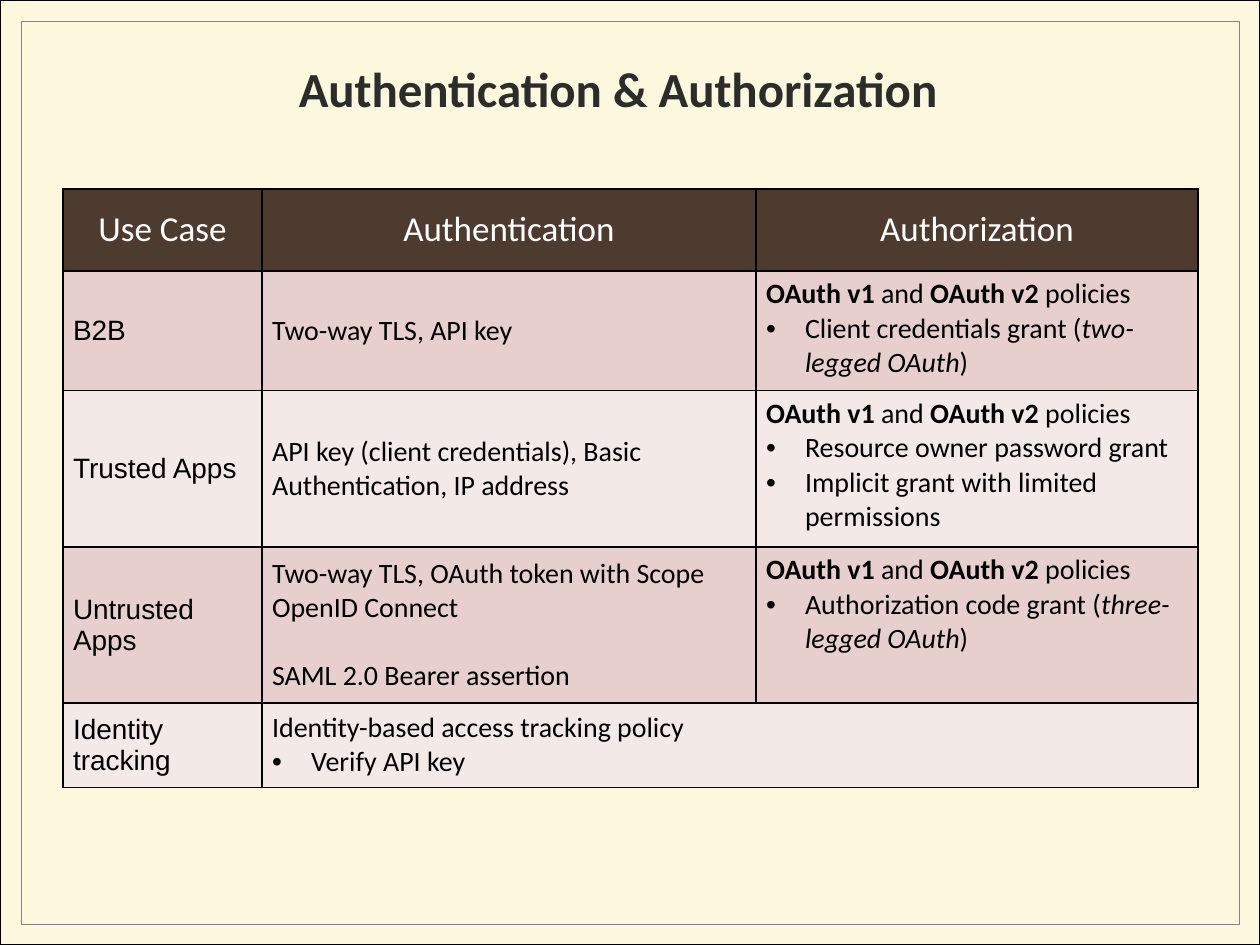
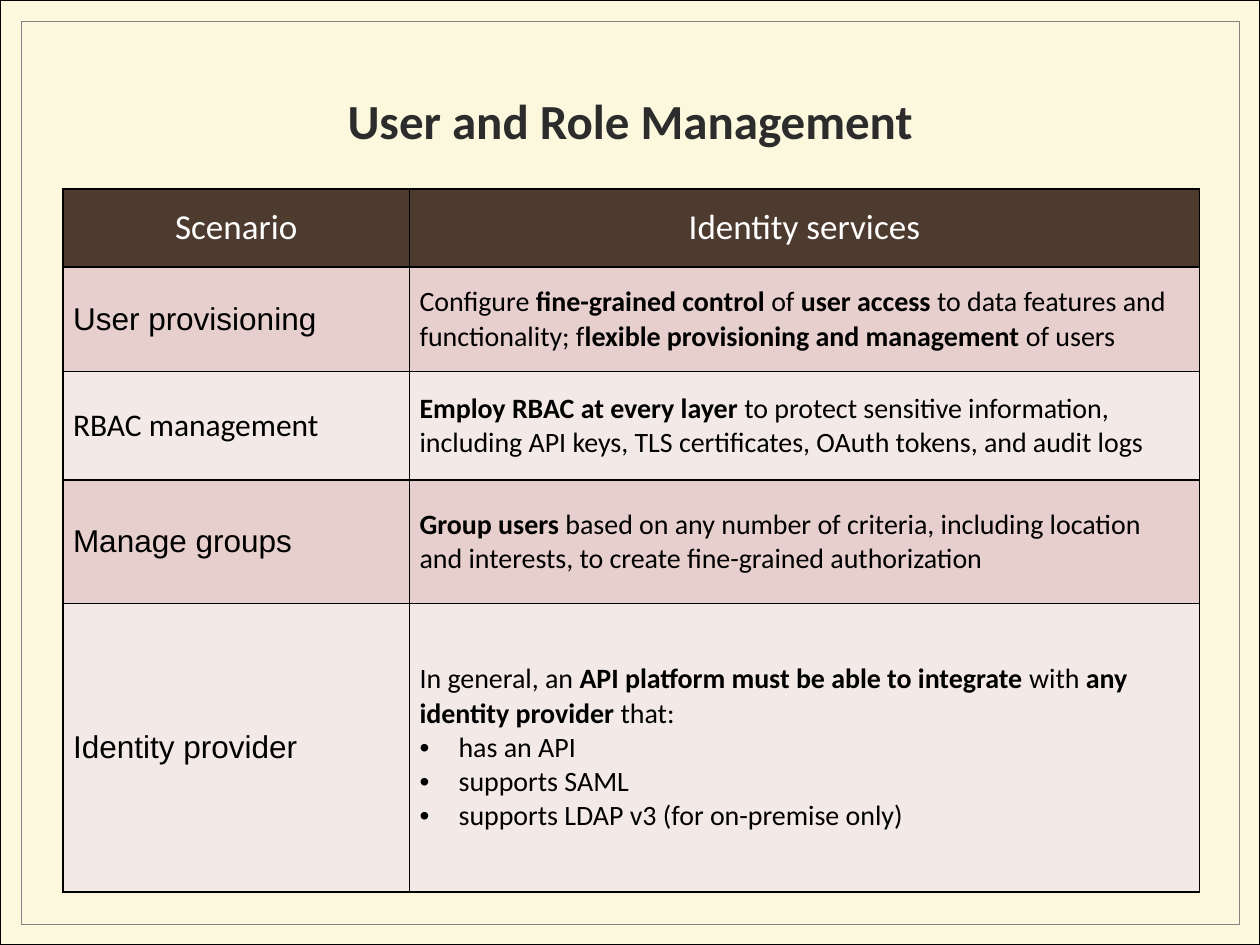
from lxml.etree import SubElement
from pptx import Presentation
from pptx.dml.color import RGBColor
from pptx.enum.shapes import MSO_SHAPE
from pptx.enum.text import MSO_ANCHOR, PP_ALIGN
from pptx.oxml.ns import qn
from pptx.util import Inches, Pt

CREAM = RGBColor(0xFC, 0xF8, 0xDE)
GRAY = RGBColor(0x84, 0x84, 0x84)
CHARCOAL = RGBColor(0x2C, 0x2C, 0x2C)
BROWN = RGBColor(0x4E, 0x3B, 0x30)
ROSE = RGBColor(0xE6, 0xCF, 0xCC)
PALE_ROSE = RGBColor(0xF3, 0xE9, 0xE7)
BLACK = RGBColor(0, 0, 0)
WHITE = RGBColor(0xFF, 0xFF, 0xFF)

BULLET = "•"
OAUTH_POLICIES = [("OAuth v1", "b"), " and ", ("OAuth v2", "b"), " policies"]

# Each cell is a list of paragraphs, each paragraph a list of runs;
# a run is plain text or a pair of text and "b" (bold) or "i" (italic).
SLIDES = [
    {
        "title": "Authentication & Authorization",
        "title_box": (0.25, 0.5, 9.49, 0.39),
        "title_right_inset": 0.28,
        "columns": [1.58, 3.92, 3.51],
        "rows": [0.65, 0.95, 1.24, 1.24, 0.67],
        "header": ["Use Case", "Authentication", "Authorization"],
        "label_size": 16,
        "calibri_labels": [],
        "body": [
            ["B2B", [["Two-way TLS, API key"]],
             [OAUTH_POLICIES,
              [BULLET, "Client credentials grant (", ("two-legged OAuth", "i"), ")"]]],
            ["Trusted Apps",
             [["API key (client credentials), Basic Authentication, IP address"]],
             [OAUTH_POLICIES,
              [BULLET, "Resource owner password grant"],
              [BULLET, "Implicit grant with limited permissions"]]],
            ["Untrusted Apps",
             [["Two-way TLS, OAuth token with Scope"], ["OpenID Connect"],
              ["SAML 2.0 Bearer assertion"]],
             [OAUTH_POLICIES,
              [BULLET, "Authorization code grant (", ("three-legged OAuth", "i"), ")"]]],
            ["Identity tracking",
             [["Identity-based access tracking policy"], [BULLET, "Verify API key"]]],
        ],
    },
    {
        "title": "User and Role Management",
        "title_box": (0.5, 0.33, 9, 1.25),
        "title_right_inset": 0.1,
        "columns": [2.75, 6.27],
        "rows": [0.62, 0.83, 0.86, 0.98, 2.29],
        "header": ["Scenario", "Identity services"],
        "label_size": 18,
        "calibri_labels": ["RBAC management"],
        "body": [
            ["User provisioning",
             [["Configure ", ("fine-grained control ", "b"), "of ", ("user access", "b"),
               " to data features and functionality; f",
               ("lexible provisioning and management", "b"), " of users"]]],
            ["RBAC management",
             [[("Employ RBAC at every layer ", "b"),
               "to protect sensitive information, including API keys, "
               "TLS certificates, OAuth tokens, and audit logs"]]],
            ["Manage groups",
             [[("Group users", "b"),
               " based on any number of criteria, including location and interests, "
               "to create fine-grained authorization"]]],
            ["Identity provider",
             [["In general, an ", ("API platform must be able to integrate ", "b"),
               "with ", ("any identity provider ", "b"), "that:"],
              [BULLET, "has an API"],
              [BULLET, "supports SAML"],
              [BULLET, "supports LDAP v3 (for on-premise only)"]]],
        ],
    },
]


def add_run(paragraph, text, size, color, font="Calibri", style=""):
    run = paragraph.add_run()
    run.text = text
    run.font.name = font
    run.font.size = Pt(size)
    run.font.color.rgb = color
    run.font.bold = style == "b"
    run.font.italic = style == "i"


def format_cell(cell, color):
    """Set insets, a thin black border on every side, and the fill."""
    cell.margin_left = cell.margin_right = Inches(0.08)
    cell.vertical_anchor = MSO_ANCHOR.MIDDLE
    properties = cell._tc.get_or_add_tcPr()
    for side in ("a:lnL", "a:lnR", "a:lnT", "a:lnB"):
        border = SubElement(properties, qn(side), w=str(Pt(1)))
        SubElement(SubElement(border, qn("a:solidFill")), qn("a:srgbClr"), val=str(BLACK))
    cell.fill.solid()
    cell.fill.fore_color.rgb = color


prs = Presentation()
prs.slide_width, prs.slide_height = Inches(10), Inches(7.5)
layout = prs.slide_layouts[5]

for number, content in enumerate(SLIDES):
    slide = prs.slides.add_slide(layout)

    # Shared page and frame, moved from the first slide to the layout
    if number == 0:
        page = slide.shapes.add_shape(MSO_SHAPE.RECTANGLE, 0, 0, prs.slide_width, prs.slide_height)
        page.fill.solid()
        page.fill.fore_color.rgb = CREAM
        frame = slide.shapes.add_shape(
            MSO_SHAPE.RECTANGLE, Inches(0.17), Inches(0.17), Inches(9.67), Inches(7.17))
        frame.fill.background()
        for order, (part, color, width) in enumerate([(page, BLACK, 0.75), (frame, GRAY, 0.5)]):
            part.line.color.rgb = color
            part.line.width = Pt(width)
            part.shadow.inherit = False
            part.element.nvSpPr.cNvPr.set("id", str(20 + order))
            layout.element.cSld.spTree.insert(2 + order, part.element)

    # Title
    title = slide.shapes.title
    title.left, title.top, title.width, title.height = map(Inches, content["title_box"])
    title.text_frame.margin_right = Inches(content["title_right_inset"])
    title.text_frame.vertical_anchor = MSO_ANCHOR.MIDDLE
    heading = title.text_frame.paragraphs[0]
    heading.alignment = PP_ALIGN.CENTER
    add_run(heading, content["title"], 28, CHARCOAL, style="b")

    # Table grid
    columns, rows = content["columns"], content["rows"]
    table = slide.shapes.add_table(
        len(rows), len(columns), Inches(0.5), Inches(1.5),
        Inches(sum(columns)), Inches(sum(rows))).table
    for column, width in zip(table.columns, columns):
        column.width = Inches(width)
    for row, height in zip(table.rows, rows):
        row.height = Inches(height)
    for r, row in enumerate(table.rows):
        for cell in row.cells:
            format_cell(cell, BROWN if r == 0 else ROSE if r % 2 else PALE_ROSE)

    # Header row
    for c, text in enumerate(content["header"]):
        paragraph = table.cell(0, c).text_frame.paragraphs[0]
        paragraph.alignment = PP_ALIGN.CENTER
        add_run(paragraph, text, 20, WHITE)

    # Body rows: a label, then cells of paragraphs
    for r, (label, *details) in enumerate(content["body"], start=1):
        label_font = "Calibri" if label in content["calibri_labels"] else "Arial"
        add_run(table.cell(r, 0).text_frame.paragraphs[0], label,
                content["label_size"], BLACK, label_font)
        if len(details) < len(columns) - 1:
            table.cell(r, 1).merge(table.cell(r, len(columns) - 1))
        for c, paragraphs in enumerate(details, start=1):
            cell = table.cell(r, c)
            if c == 2:
                cell.vertical_anchor = MSO_ANCHOR.TOP
            for p, runs in enumerate(paragraphs):
                text_frame = cell.text_frame
                paragraph = text_frame.add_paragraph() if p else text_frame.paragraphs[0]
                if runs[0] == BULLET:
                    properties = paragraph._p.get_or_add_pPr()
                    properties.set("marL", str(Inches(0.31)))
                    properties.set("indent", str(-Inches(0.31)))
                    SubElement(properties, qn("a:buFont"), typeface="Arial")
                    SubElement(properties, qn("a:buChar"), char=BULLET)
                    runs = runs[1:]
                if runs[0].startswith("SAML") if isinstance(runs[0], str) else False:
                    paragraph.space_before = Pt(19.5)
                for run in runs:
                    text, style = (run, "") if isinstance(run, str) else run
                    add_run(paragraph, text, 16, BLACK, style=style)

prs.save("out.pptx")
